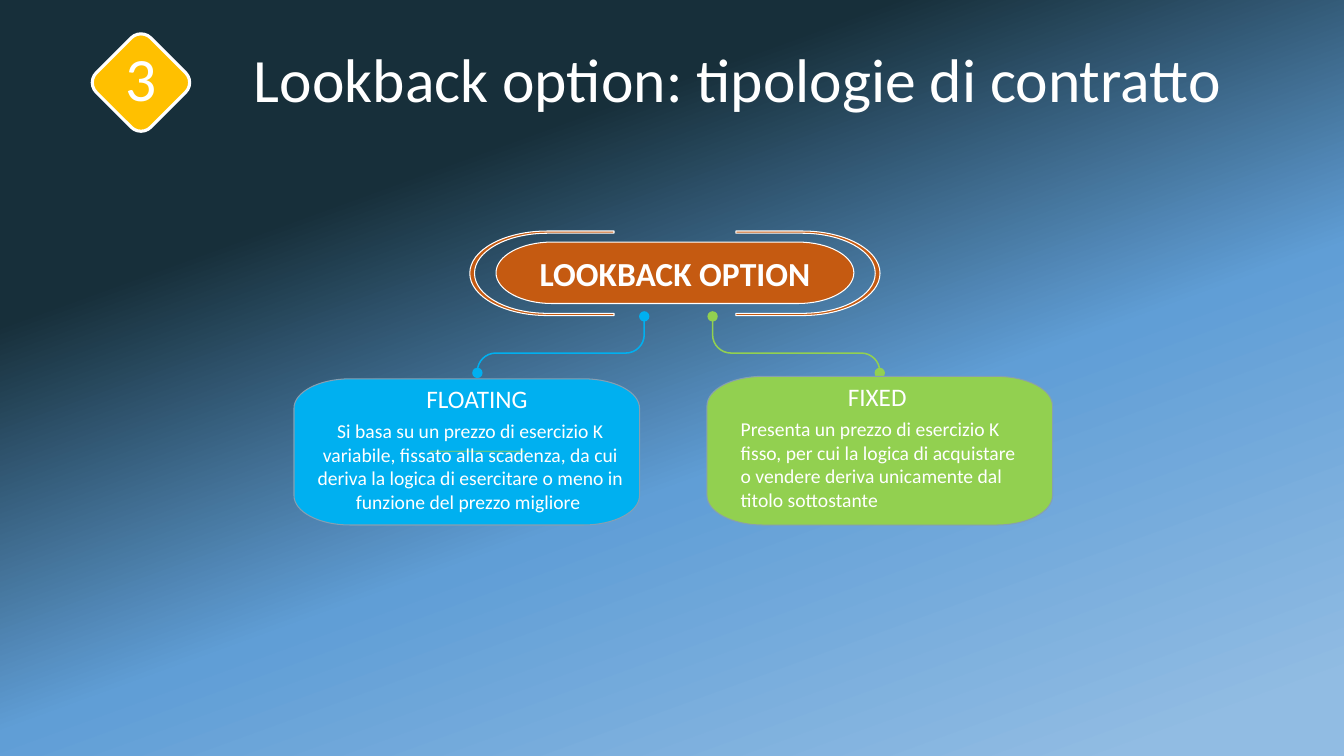
from math import cos, radians, sin

from lxml.etree import SubElement
from pptx import Presentation
from pptx.dml.color import RGBColor
from pptx.enum.shapes import MSO_SHAPE
from pptx.enum.text import MSO_ANCHOR, PP_ALIGN
from pptx.oxml.ns import qn
from pptx.util import Pt

WHITE, RUST, SKY, GREEN, GOLD, GRAY = "FFFFFF", "C55A11", "00B0F0", "92D050", "FFC000", "869FB2"


def tint(color):
    return RGBColor.from_string(color)


def paint(shape, fill, line=None, width=0.75):
    shape.shadow.inherit = False
    shape.fill.solid()
    shape.fill.fore_color.rgb = tint(fill)
    if line:
        shape.line.color.rgb = tint(line)
        shape.line.width = Pt(width)
    else:
        shape.line.fill.background()
    return shape


def write(shape, text, size=14, bold=False, align=PP_ALIGN.LEFT,
          anchor=MSO_ANCHOR.TOP, inset=3.6, space=1.0):
    frame = shape.text_frame
    frame.word_wrap = True
    frame.vertical_anchor = anchor
    frame.margin_left = frame.margin_right = Pt(7.2)
    frame.margin_top = frame.margin_bottom = Pt(inset)
    para = frame.paragraphs[0]
    para.alignment = align
    para.line_spacing = space
    run = para.add_run()
    run.text = text
    run.font.name = "Calibri"
    run.font.size = Pt(size)
    run.font.bold = bold
    run.font.color.rgb = tint(WHITE)


def label(slide, text, x, y, w, h, **style):
    write(slide.shapes.add_textbox(Pt(x), Pt(y), Pt(w), Pt(h)), text, **style)


def preset(slide, kind, x, y, w, h, **look):
    return paint(slide.shapes.add_shape(kind, Pt(x), Pt(y), Pt(w), Pt(h)), **look)


def arc(cx, cy, rx, ry, start, end):
    turn = 90 if end > start else -90
    pull = 0.5523 * turn / 90

    def spot(angle, lean=0):
        c, s = cos(radians(angle)), sin(radians(angle))
        return cx + rx * (c - lean * s), cy + ry * (s + lean * c)

    curves = [[spot(a, pull), spot(a + turn, -pull), spot(a + turn)]
              for a in range(start, end, turn)]
    return [[spot(start)], *curves]


def trace(slide, parts, **look):
    dots = [(Pt(x), Pt(y)) for part in parts for x, y in part]
    pen = slide.shapes.build_freeform(*dots[0], scale=1.0)
    pen.add_line_segments(dots[1:], close=True)
    shape = pen.convert_to_shape()
    steps = iter(list(shape.element.iter(qn("a:lnTo"))))
    for part in parts[1:]:
        first, *rest = [next(steps) for _ in part]
        if rest:
            first.tag = qn("a:cubicBezTo")
        for step in rest:
            first.extend(list(step))
            step.getparent().remove(step)
    return paint(shape, **look)


def pill(slide, x, y, w, h, rx, ry, **look):
    parts = []
    for cx, cy, start in ((x + rx, y + ry, 180), (x + w - rx, y + ry, 270),
                          (x + w - rx, y + h - ry, 0), (x + rx, y + h - ry, 90)):
        parts += arc(cx, cy, rx, ry, start, start + 90)
    return trace(slide, parts, **look)


def backdrop(slide):
    fill = slide.background.fill
    fill.gradient()
    fill.gradient_angle = 110
    stops = next(slide.element.iter(qn("a:gsLst")))
    for stop in list(stops):
        stops.remove(stop)
    for place, color, alpha in ((6, "91BCE3", 75), (41, "609ED6", 100), (74, "172F3A", 100)):
        stop = SubElement(stops, qn("a:gs"), pos=str(place * 1000))
        shade = SubElement(stop, qn("a:srgbClr"), val=color)
        if alpha < 100:
            SubElement(shade, qn("a:alpha"), val=str(alpha * 1000))


def header(slide, x, y, w, h):
    side = 55
    center = dict(size=44, align=PP_ALIGN.CENTER, anchor=MSO_ANCHOR.MIDDLE, inset=7.2, space=0.9)
    label(slide, "Lookback option: tipologie di contratto", x + 57.4, y + 4.3, w - 57.6, 60.5, **center)
    badge = preset(slide, MSO_SHAPE.ROUNDED_RECTANGLE, x + 8.4, y + 7, side, side,
                   fill=GOLD, line=WHITE, width=2.25)
    badge.adjustments[0] = 0.18
    badge.rotation = 45
    label(slide, "3", x + 0.7, y + 2.5, 70.6, 61.9, **center)


def root(slide, x, y, w, h):
    rim, rx = 1.6, 55.4
    core = pill(slide, x + 18.7, y + 7.9, w - 37.4, 43.9, 40, 21.95, fill=RUST, line=WHITE)
    write(core, "LOOKBACK OPTION", size=24, bold=True, align=PP_ALIGN.CENTER,
          anchor=MSO_ANCHOR.MIDDLE, inset=7.2)
    mid, edge = y + h / 2, x + 103
    left = [[(edge, y)], *arc(x + rx, mid, rx, h / 2, 270, 90),
            [(edge, y + h)], [(edge, y + h - rim)],
            *arc(x + rx, mid, rx - 3.4, h / 2 - rim, 90, 270), [(edge, y + rim)]]
    right = [[(2 * x + w - px, py) for px, py in part] for part in left]
    for parts in (right, left):
        trace(slide, parts, fill=RUST, line=WHITE)


def stem(slide, x, y, end, drop, color):
    bend, dot, half = 13.2, 7.4, 0.55
    mid, way = y + drop - bend - 1, 1 if end > x else -1
    out, tight = bend + half, bend - half
    near, far = (x + way * bend, mid - bend), (end - way * bend, mid + bend)
    parts = [[(x - way * half, y)],
             *arc(*near, -way * out, out, 0, 90), *arc(*far, way * tight, tight, 270, 360),
             [(end - way * half, y + drop)], [(end + way * half, y + drop)],
             *arc(*far, way * out, out, 360, 270), *arc(*near, -way * tight, tight, 90, 0),
             [(x + way * half, y)]]
    trace(slide, parts, fill=color)
    for cx, cy in ((end, y + drop), (x, y)):
        preset(slide, MSO_SHAPE.OVAL, cx - dot / 2, cy - dot / 2, dot, dot, fill=color)


def card(slide, x, y, w, h, axis, color, head, body, align):
    pill(slide, x, y, w, h, 40, 21, fill=color, line=GRAY)
    preset(slide, MSO_SHAPE.RECTANGLE, axis - 34.2, 322, 68.4, 0.6, fill=GREEN)
    for (text, dx, dy, wide, high), style in ((head, dict(size=18)), (body, dict(align=align))):
        label(slide, text, x + dx, y + dy, wide, high, **style)


def build():
    deck = Presentation()
    deck.slide_width, deck.slide_height = Pt(960), Pt(540)
    slide = deck.slides.add_slide(deck.slide_layouts[6])
    backdrop(slide)
    header(slide, 64.8, 24.5, 867.6, 69)
    root(slide, 335.6, 165, 293, 60.4)
    stem(slide, 460.2, 226, 341, 40.4, SKY)
    card(slide, 210, 270.6, 246.8, 104.4, 341, SKY,
         ("FLOATING", 87.4, -0.4, 141, 29),
         ("Si basa su un prezzo di esercizio K variabile, fissato alla scadenza, da cui deriva "
          "la logica di esercitare o meno in funzione del prezzo migliore ", -1.8, 25.2, 255.6, 75),
         PP_ALIGN.CENTER)
    stem(slide, 509, 226, 628.4, 40.4, GREEN)
    card(slide, 505, 268.8, 246.8, 106.2, 628.4, GREEN,
         ("FIXED", 93.5, 0, 172, 29),
         ("Presenta un prezzo di esercizio K fisso, per cui la logica di acquistare o vendere "
          "deriva unicamente dal titolo sottostante", 17, 25.6, 212.4, 75),
         PP_ALIGN.LEFT)
    deck.save("out.pptx")


if __name__ == "__main__":
    build()
